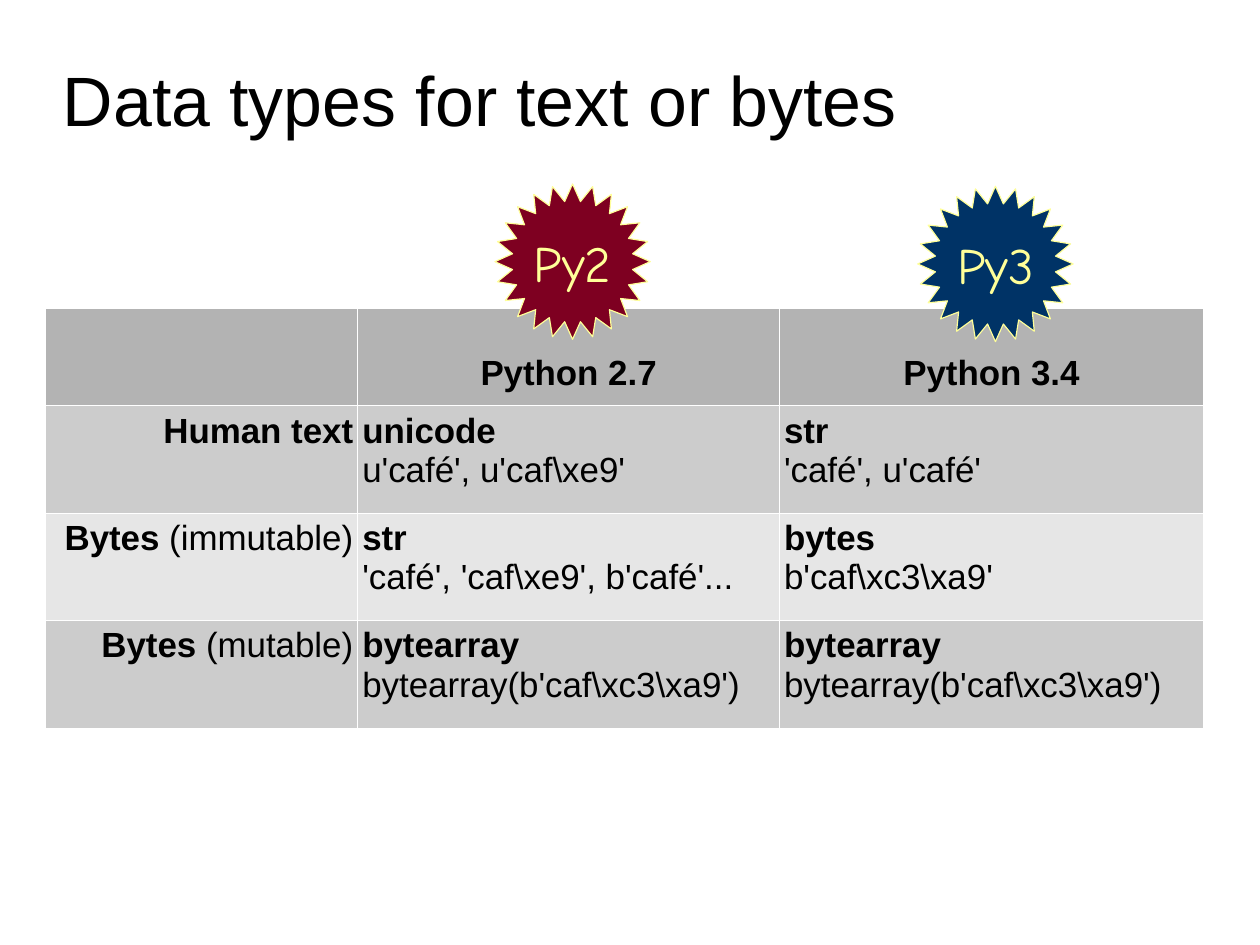
from dataclasses import dataclass
from math import cos, pi, sin

from lxml import etree
from pptx import Presentation
from pptx.dml.color import RGBColor
from pptx.enum.text import MSO_ANCHOR, PP_ALIGN
from pptx.oxml.ns import qn
from pptx.util import Cm, Inches, Pt

LEFT, CENTER, RIGHT = PP_ALIGN.LEFT, PP_ALIGN.CENTER, PP_ALIGN.RIGHT
TOP, MIDDLE, BOTTOM = MSO_ANCHOR.TOP, MSO_ANCHOR.MIDDLE, MSO_ANCHOR.BOTTOM


@dataclass(frozen=True)
class Theme:
    font: str = "Arial"
    badge_font: str = "Comic Neue"
    title_size: int = 44
    badge_size: int = 32
    table_size: int = 22
    border_width: float = 0.57
    ink: str = "000000"
    border: str = "FFFFFF"
    header: str = "B3B3B3"
    bands: tuple = ("CCCCCC", "E6E6E6")
    badge_ink: str = "FFFF99"
    py2: str = "7E0021"
    py3: str = "003366"


THEME = Theme()
COLUMN_WIDTHS = (2.73, 3.69, 3.71)
ROW_HEIGHTS = (0.85, 0.94, 0.94, 0.94)
HEADINGS = ("", "Python 2.7", "Python 3.4")
# Each row: bold and plain part of the label, then type name and examples per version
DATA_TYPES = (
    (("Human text", ""), ("unicode", r"u'café', u'caf\xe9'"), ("str", "'café', u'café'")),
    (("Bytes ", "(immutable)"), ("str", r"'café', 'caf\xe9', b'café'..."),
     ("bytes", r"b'caf\xc3\xa9'")),
    (("Bytes ", "(mutable)"), ("bytearray", r"bytearray(b'caf\xc3\xa9')"),
     ("bytearray", r"bytearray(b'caf\xc3\xa9')")),
)
STAR_POINTS = 24
OUTER_RADIUS, INNER_RADIUS = 0.68, 0.53


def set_frame(frame, anchor, margins, wrap=True):
    left, top, right, bottom = map(Inches, margins)
    formats = {"vertical_anchor": anchor, "word_wrap": wrap, "margin_left": left,
               "margin_top": top, "margin_right": right, "margin_bottom": bottom}
    for name, value in formats.items():
        setattr(frame, name, value)


def set_cell_frame(cell, anchor, bottom):
    formats = {"vertical_anchor": anchor, "margin_left": Inches(0.04),
               "margin_top": Inches(0.05), "margin_right": Inches(0.04),
               "margin_bottom": Inches(bottom)}
    for name, value in formats.items():
        setattr(cell, name, value)


def add_span(para, text, size, color=THEME.ink, font=THEME.font, bold=False):
    span = para.add_run()
    span.text = text
    for name, value in {"name": font, "size": Pt(size), "bold": bold}.items():
        setattr(span.font, name, value)
    span.font.color.rgb = RGBColor.from_string(color)


def add_title(page, text):
    box = page.shapes.add_textbox(Inches(0.55), Inches(0.33), Inches(9.92), Inches(1.07))
    set_frame(box.text_frame, MIDDLE, (0, 0, 0, 0))
    add_span(box.text_frame.paragraphs[0], text, THEME.title_size)


def style_cell(cell, fill, anchor=TOP, bottom=0.05):
    """Draw the cell's borders, fill it and set its margins."""
    properties = cell._tc.get_or_add_tcPr()
    for side in ("a:lnL", "a:lnR", "a:lnT", "a:lnB"):
        line = etree.SubElement(properties, qn(side), w=str(int(Pt(THEME.border_width))))
        solid = etree.SubElement(line, qn("a:solidFill"))
        etree.SubElement(solid, qn("a:srgbClr"), val=THEME.border)
    cell.fill.solid()
    cell.fill.fore_color.rgb = RGBColor.from_string(fill)
    set_cell_frame(cell, anchor, bottom)


def write_cell(cell, paragraphs, align=LEFT):
    """Write paragraphs, each a list of (text, bold) spans."""
    frame = cell.text_frame
    for index, spans in enumerate(paragraphs):
        para = frame.add_paragraph() if index else frame.paragraphs[0]
        para.alignment = align
        for text, bold in spans:
            if text:
                add_span(para, text, THEME.table_size, bold=bold)


def add_type_table(page):
    table = page.shapes.add_table(
        len(ROW_HEIGHTS), len(COLUMN_WIDTHS), Inches(0.4), Inches(2.7),
        Inches(sum(COLUMN_WIDTHS)), Inches(sum(ROW_HEIGHTS))).table
    for column, width in zip(table.columns, COLUMN_WIDTHS):
        column.width = Inches(width)
    for row, height in zip(table.rows, ROW_HEIGHTS):
        row.height = Inches(height)
    for column, heading in enumerate(HEADINGS):
        cell = table.cell(0, column)
        style_cell(cell, THEME.header, BOTTOM, 0.11)
        write_cell(cell, [[(heading, True)]], CENTER)
    for row, (label, *versions) in enumerate(DATA_TYPES, start=1):
        for column in range(len(COLUMN_WIDTHS)):
            style_cell(table.cell(row, column), THEME.bands[(row - 1) % 2])
        write_cell(table.cell(row, 0), [[(label[0], True), (label[1], False)]], RIGHT)
        for column, (name, examples) in enumerate(versions, start=1):
            write_cell(table.cell(row, column), [[(name, True)], [(examples, False)]])


def add_badge(page, text, center_x, center_y, fill):
    corners = []
    for step in range(2 * STAR_POINTS):
        radius = INNER_RADIUS if step % 2 else OUTER_RADIUS
        angle = step * pi / STAR_POINTS
        corners.append((Inches(center_x + radius * cos(angle)),
                        Inches(center_y + radius * sin(angle))))
    builder = page.shapes.build_freeform(*corners[0])
    builder.add_line_segments(corners[1:], close=True)
    star = builder.convert_to_shape()
    star.shadow.inherit = False
    star.fill.solid()
    star.fill.fore_color.rgb = RGBColor.from_string(fill)
    star.line.color.rgb = RGBColor.from_string(THEME.badge_ink)
    star.line.width = Pt(0)
    set_frame(star.text_frame, MIDDLE, (0.1, 0.05, 0.1, 0.05), wrap=False)
    para = star.text_frame.paragraphs[0]
    para.alignment = CENTER
    add_span(para, text, THEME.badge_size, THEME.badge_ink, THEME.badge_font)


def main():
    deck = Presentation()
    deck.slide_width, deck.slide_height = Cm(28), Cm(21)
    page = deck.slides.add_slide(deck.slide_layouts[6])
    add_title(page, "Data types for text or bytes")
    add_type_table(page)
    add_badge(page, "Py2", 5.01, 2.29, THEME.py2)
    add_badge(page, "Py3", 8.71, 2.31, THEME.py3)
    deck.save("out.pptx")


if __name__ == "__main__":
    main()
